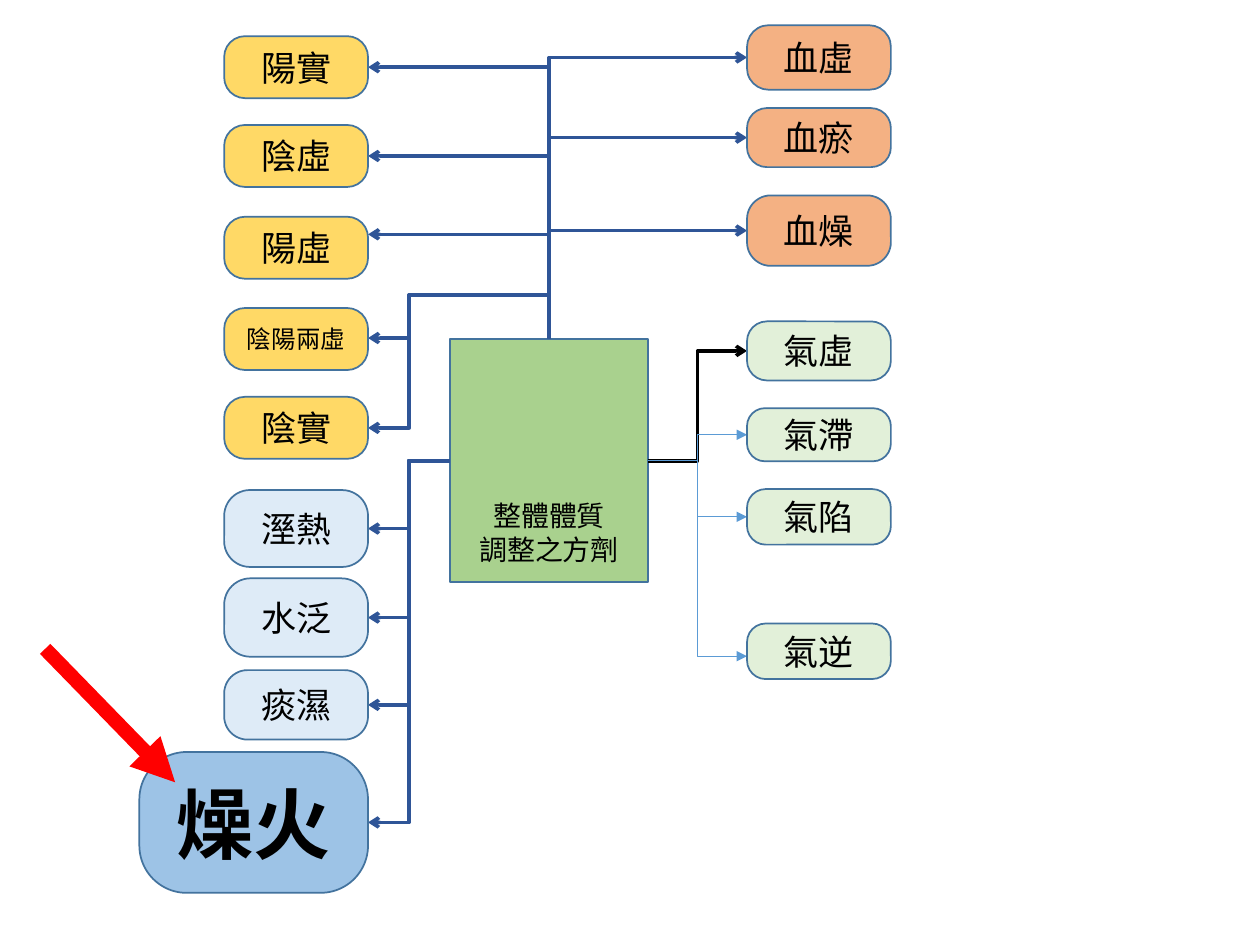
from lxml import etree
from pptx import Presentation
from pptx.dml.color import RGBColor
from pptx.enum.shapes import MSO_CONNECTOR, MSO_SHAPE
from pptx.enum.text import MSO_ANCHOR, MSO_AUTO_SIZE, PP_ALIGN
from pptx.oxml.ns import qn
from pptx.util import Cm, Pt

FONT = "Noto Sans CJK SC"
BLACK = RGBColor(0x00, 0x00, 0x00)
RED = RGBColor(0xFF, 0x00, 0x00)
NAVY = RGBColor(0x2F, 0x55, 0x97)
SKY = RGBColor(0x5B, 0x9B, 0xD5)
OUTLINE = RGBColor(0x43, 0x73, 0x9E)
GREEN = RGBColor(0xA9, 0xD1, 0x8E)
ORANGE = RGBColor(0xF4, 0xB1, 0x83)
PALE_GREEN = RGBColor(0xE2, 0xF0, 0xD9)
YELLOW = RGBColor(0xFF, 0xD9, 0x66)
PALE_BLUE = RGBColor(0xDE, 0xEB, 0xF7)
BLUE = RGBColor(0x9D, 0xC3, 0xE6)

# All positions below are in centimetres.
HUB = (9.07, 6.83, 3.99, 4.91)
HUB_TOP = (11.07, 6.83)
HUB_LEFT = (9.07, 9.29)
HUB_RIGHT = (13.06, 9.29)
PILL_WIDTH = 2.9
LEFT_COLUMN = 4.52
RIGHT_COLUMN = 15.06
LEFT_EDGE = LEFT_COLUMN + PILL_WIDTH
DETOUR_LIFT = 0.88

# text, top, height, arrow tip below the middle
BLOOD = [("血虛", 0.51, 1.3, 0), ("血瘀", 2.18, 1.19, 0), ("血燥", 3.94, 1.42, 0)]
QI = [("氣虛", 6.48, 1.19, 0), ("氣滯", 8.23, 1.07, 0),
      ("氣陷", 9.86, 1.12, 0), ("氣逆", 12.57, 1.12, 0.1)]
YIN_YANG = [("陽實", 0.73, 1.25, 0), ("陰虛", 2.52, 1.25, 0), ("陽虛", 4.37, 1.25, -0.27),
            ("陰陽兩虛", 6.21, 1.25, -0.02), ("陰實", 8, 1.25, 0)]
FLUID = [("溼熱", 9.88, 1.55, 0), ("水泛", 11.66, 1.58, 0), ("痰濕", 13.51, 1.4, 0)]
DRY_FIRE = ("燥火", 15.16, 2.84, 0)


def format_text(text_frame, size, bold=False):
    for paragraph in text_frame.paragraphs:
        paragraph.alignment = PP_ALIGN.CENTER
        for run in paragraph.runs:
            font = run.font
            font.size, font.bold, font.name = Pt(size), bold, FONT
            font.color.rgb = BLACK
            etree.SubElement(run._r.get_or_add_rPr(), qn("a:ea"), typeface=FONT)


def add_box(slide, kind, box, fill):
    shape = slide.shapes.add_shape(kind, *(Cm(length) for length in box))
    shape.shadow.inherit = False
    shape.fill.solid()
    shape.fill.fore_color.rgb = fill
    shape.line.color.rgb = OUTLINE
    shape.line.width = Pt(1)
    return shape


def add_pill(slide, box, text, fill, size=20, bold=False):
    pill = add_box(slide, MSO_SHAPE.ROUNDED_RECTANGLE, box, fill)
    pill.adjustments[0] = 0.336
    pill.text_frame.text = text
    pill.text_frame.vertical_anchor = MSO_ANCHOR.MIDDLE
    format_text(pill.text_frame, size, bold)


def add_arrow(slide, kind, start, end, color, width, head):
    points = [Cm(value) for value in (*start, *end)]
    arrow = slide.shapes.add_connector(kind, *points)
    arrow.line.color.rgb = color
    arrow.line.width = Pt(width)
    etree.SubElement(arrow.line._get_or_add_ln(), qn("a:tailEnd"), type=head)
    etree.SubElement(arrow._element.spPr, qn("a:effectLst"))
    return arrow


def add_side_arrow(slide, start, end, color=NAVY, width=0, head="arrow"):
    add_arrow(slide, MSO_CONNECTOR.ELBOW, start, end, color, width, head)


def add_top_arrow(slide, start, end, lift=None):
    """Leave upwards and turn sideways; a lift makes a detour over that height."""
    arrow = add_arrow(slide, MSO_CONNECTOR.ELBOW, start, end, NAVY, 0, "arrow")
    run, rise = end[0] - start[0], start[1] - end[1]
    width, height = abs(rise), abs(run)
    arrow.left = Cm((start[0] + end[0] - width) / 2)
    arrow.top = Cm((start[1] + end[1] - height) / 2)
    arrow.width, arrow.height = Cm(width), Cm(height)
    to_right = run > 0
    transform = arrow._element.spPr.find(qn("a:xfrm"))
    transform.set("rot", str((90 if to_right else 270) * 60000))
    transform.set("flipH", "1" if to_right or rise < 0 else "0")
    transform.set("flipV", "1")
    geometry = arrow._element.spPr.find(qn("a:prstGeom"))
    geometry.set("prst", "bentConnector4" if lift else "bentConnector2")
    if lift:
        guides = geometry.find(qn("a:avLst"))
        for name, ratio in (("adj1", lift / rise), ("adj2", 0.773)):
            etree.SubElement(guides, qn("a:gd"), name=name, fmla=f"val {round(ratio * 100000)}")


def tip(row, edge):
    _, top, height, offset = row
    return edge, top + height / 2 + offset


def add_hub(slide, box):
    left, top, width, _ = box
    add_box(slide, MSO_SHAPE.RECTANGLE, box, GREEN)
    label_box = (left - 0.21, top + 3.1, width + 0.43, 1.63)
    label = slide.shapes.add_textbox(*(Cm(length) for length in label_box))
    text_frame = label.text_frame
    text_frame.word_wrap = True
    text_frame.auto_size = MSO_AUTO_SIZE.SHAPE_TO_FIT_TEXT
    text_frame.text = "整體體質\n調整之方劑"
    format_text(text_frame, 16)


def add_right_column(slide, left, width):
    for row in BLOOD:
        add_top_arrow(slide, HUB_TOP, tip(row, left))
    for row in QI:
        look = (BLACK, 0, "arrow") if row is QI[0] else (SKY, 0.5, "triangle")
        add_side_arrow(slide, HUB_RIGHT, tip(row, left), *look)
    for rows, fill in ((BLOOD, ORANGE), (QI, PALE_GREEN)):
        for text, top, height, _ in rows:
            add_pill(slide, (left, top, width, height), text, fill)


def add_left_column(slide, left, width):
    edge = left + width
    for index, row in enumerate(YIN_YANG):
        add_top_arrow(slide, HUB_TOP, tip(row, edge), DETOUR_LIFT if index > 2 else None)
    for row in (*FLUID, DRY_FIRE):
        add_side_arrow(slide, HUB_LEFT, tip(row, edge))
    for rows, fill in ((YIN_YANG, YELLOW), (FLUID, PALE_BLUE)):
        for text, top, height, _ in rows:
            add_pill(slide, (left, top, width, height), text, fill, 14 if len(text) > 2 else 20)
    text, top, height, _ = DRY_FIRE
    add_pill(slide, (edge - 4.61, top, 4.61, height), text, BLUE, 44, True)


def main():
    presentation = Presentation()
    presentation.slide_width, presentation.slide_height = Cm(25.4), Cm(19.05)
    slide = presentation.slides.add_slide(presentation.slide_layouts[6])
    add_hub(slide, HUB)
    add_right_column(slide, RIGHT_COLUMN, PILL_WIDTH)
    add_left_column(slide, LEFT_COLUMN, PILL_WIDTH)
    add_arrow(slide, MSO_CONNECTOR.STRAIGHT, (0.91, 13.08), (3.53, 15.77), RED, 8.25, "triangle")
    presentation.save("out.pptx")


if __name__ == "__main__":
    main()
